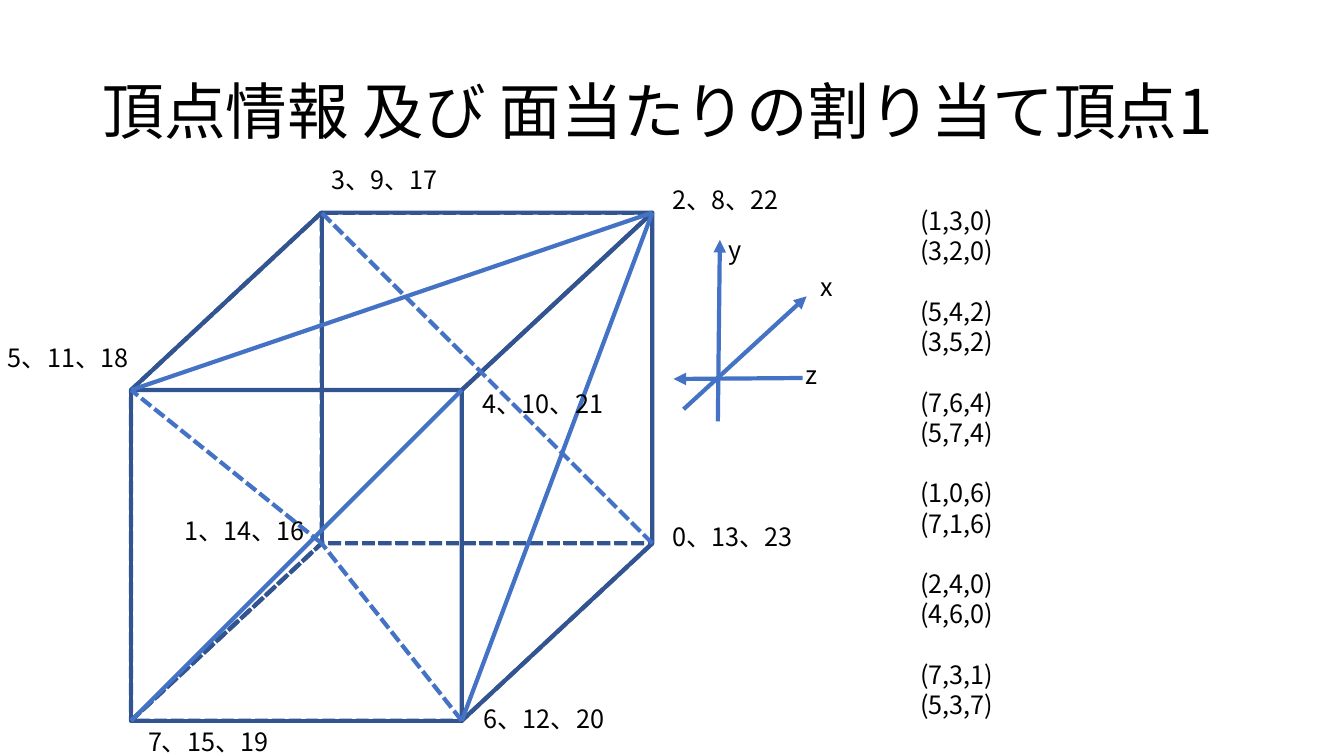
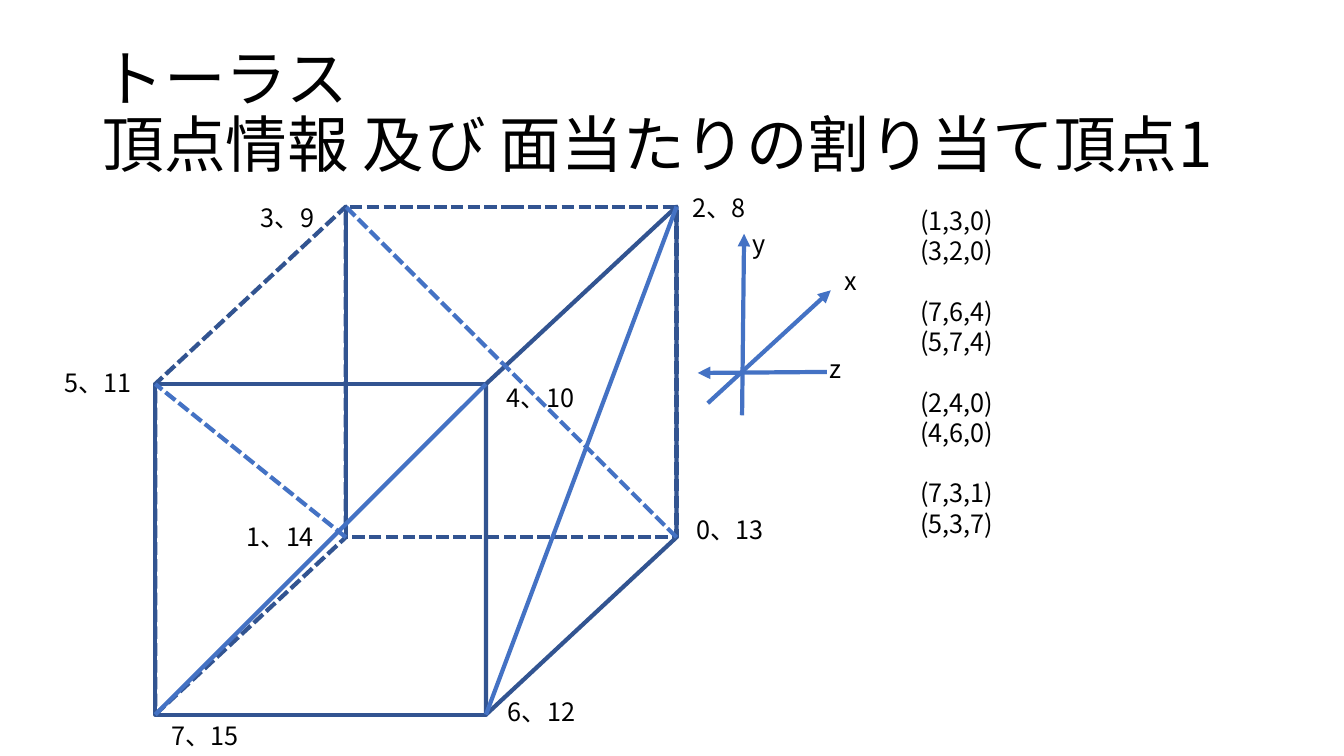
import pptx
import pptx.dml.color
import pptx.enum.dml
import pptx.enum.shapes
import pptx.enum.text
import pptx.oxml.ns
import pptx.util
import lxml.etree

THEME = {
    "font": "Noto Sans CJK JP",
    "text": pptx.dml.color.RGBColor.from_string("000000"),
    "edge": pptx.dml.color.RGBColor.from_string("325491"),
    "diagonal": pptx.dml.color.RGBColor.from_string("4472C4"),
    "stroke": pptx.util.Pt(3),
    "title": {"size": pptx.util.Pt(44), "pitch": pptx.util.Pt(47.5)},
    "body": {"size": pptx.util.Pt(18), "pitch": pptx.util.Pt(21.6)},
}
SOLID = pptx.enum.dml.MSO_LINE.SOLID
DASHED = pptx.enum.dml.MSO_LINE.SQUARE_DOT
CELL = pptx.util.Inches(0.1)  # one column or row of the drawing grid
PARALLELOGRAM = pptx.enum.shapes.MSO_SHAPE.PARALLELOGRAM
RECTANGLE = pptx.enum.shapes.MSO_SHAPE.RECTANGLE


def write(shapes, box, paragraphs, style, anchor=pptx.enum.text.MSO_ANCHOR.TOP, group_size=0):
    """Add a text box in grid cells, with one empty line's space between groups."""
    frame = shapes.add_textbox(*[round(length * CELL) for length in box]).text_frame
    frame.word_wrap = True
    frame.vertical_anchor = anchor
    frame.text = "\n".join(paragraphs)
    for index, paragraph in enumerate(frame.paragraphs):
        paragraph.line_spacing = style["pitch"]
        if group_size and index and index % group_size == 0:
            paragraph.space_before = style["pitch"]
        for run in paragraph.runs:
            run.font.color.rgb = THEME["text"]
            for name, value in {"size": style["size"], "name": THEME["font"]}.items():
                setattr(run.font, name, value)
            east_asian = lxml.etree.SubElement(
                run.font._element, pptx.oxml.ns.qn("a:ea"))
            east_asian.set("typeface", THEME["font"])


def connect(shapes, start, end, dash=SOLID, arrow=False):
    """Draw a diagonal or an axis between two grid points."""
    points = [round(length * CELL) for length in (*start, *end)]
    connector = shapes.add_connector(
        pptx.enum.shapes.MSO_CONNECTOR.STRAIGHT, *points)
    connector.line.color.rgb = THEME["diagonal"]
    for name, value in {"width": THEME["stroke"], "dash_style": dash}.items():
        setattr(connector.line, name, value)
    properties = connector._element.spPr
    if arrow:
        head = lxml.etree.SubElement(
            properties.find(pptx.oxml.ns.qn("a:ln")), pptx.oxml.ns.qn("a:tailEnd"))
        head.set("type", "triangle")
    lxml.etree.SubElement(properties, pptx.oxml.ns.qn("a:effectLst"))


presentation = pptx.Presentation()
presentation.slide_width = pptx.util.Inches(13.33)
presentation.slide_height = pptx.util.Inches(7.5)

# Cube measures in grid cells: side length, then the shift of the back face
SIDE, RUN, RISE = 32.8, 18.9, 17.6
HEADING = "頂点情報 及び 面当たりの割り当て頂点1"

SLIDES = [
    {
        "title": HEADING,
        "origin": (13, 21.1),
        "faces": ["top", "front", "right", "bottom", "back", "left"],
        "diagonals": [(6, 1, DASHED), (5, 2, SOLID), (7, 4, SOLID),
                      (6, 2, SOLID), (0, 3, DASHED), (1, 5, DASHED)],
        "labels": [((0, 13, 23), 65.7, 51.2), ((1, 14, 16), 17.3, 50.6),
                   ((2, 8, 22), 65.7, 17.8), ((3, 9, 17), 31.9, 15.8),
                   ((4, 10, 21), 46.9, 38), ((5, 11, 18), -0.2, 33.5),
                   ((6, 12, 20), 47, 69.3), ((7, 15, 19), 13.7, 71.6)],
        "triangles": ["(1,3,0)", "(3,2,0)", "(5,4,2)", "(3,5,2)",
                      "(7,6,4)", "(5,7,4)", "(1,0,6)", "(7,1,6)",
                      "(2,4,0)", "(4,6,0)", "(7,3,1)", "(5,3,7)"],
    },
    {
        "title": "トーラス\v" + HEADING,
        "origin": (15.4, 20.5),
        "faces": ["back", "left", "front", "right"],
        "diagonals": [(7, 4, SOLID), (6, 2, SOLID), (0, 3, DASHED), (1, 5, DASHED)],
        "labels": [((0, 13), 68.1, 50.5), ((1, 14), 23.5, 51.2),
                   ((2, 8), 67.7, 18.6), ((3, 9), 24.9, 19.6),
                   ((4, 10), 49.3, 37.4), ((5, 11), 5.4, 35.9),
                   ((6, 12), 49.4, 68.6), ((7, 15), 16, 71)],
        "triangles": ["(1,3,0)", "(3,2,0)", "(7,6,4)", "(5,7,4)",
                      "(2,4,0)", "(4,6,0)", "(7,3,1)", "(5,3,7)"],
    },
]

for content in SLIDES:
    slide = presentation.slides.add_slide(presentation.slide_layouts[6])
    write(slide.shapes, (9.2, 4, 115, 14.5), [content["title"]], THEME["title"],
          anchor=pptx.enum.text.MSO_ANCHOR.MIDDLE)
    drawing = slide.shapes.add_group_shape().shapes
    left, top = content["origin"]

    # Faces: preset, left, top, width, height, rotation, dash
    level = (SIDE + RUN, RISE)
    upright = (SIDE + RISE, RUN)
    upright_left = left + (RUN - upright[0]) / 2
    upright_top = top + (upright[0] - RUN) / 2
    faces = {
        "top": (PARALLELOGRAM, left, top, *level, 0, SOLID),
        "bottom": (PARALLELOGRAM, left, top + SIDE, *level, 180, DASHED),
        "front": (RECTANGLE, left, top + RISE, SIDE, SIDE, 0, SOLID),
        "back": (RECTANGLE, left + RUN, top, SIDE, SIDE, 180, DASHED),
        "right": (PARALLELOGRAM, upright_left + SIDE, upright_top, *upright, 90, SOLID),
        "left": (PARALLELOGRAM, upright_left, upright_top, *upright, 270, DASHED),
    }
    for face in content["faces"]:
        preset, *box, rotation, dash = faces[face]
        shape = drawing.add_shape(preset, *[round(length * CELL) for length in box])
        shape.shadow.inherit = False
        shape.fill.background()
        shape.rotation = rotation
        shape.line.color.rgb = THEME["edge"]
        for name, value in {"width": THEME["stroke"], "dash_style": dash}.items():
            setattr(shape.line, name, value)
        if preset == PARALLELOGRAM:
            shape.adjustments[0] = RUN / RISE if face in ("top", "bottom") else RISE / RUN
        if face in ("left", "right"):
            shape._element.spPr.xfrm.set("flipV", "1")

    # Vertices: number -> (back, right, low)
    corners = {0: (1, 1, 1), 1: (1, 0, 1), 2: (1, 1, 0), 3: (1, 0, 0),
               4: (0, 1, 0), 5: (0, 0, 0), 6: (0, 1, 1), 7: (0, 0, 1)}
    vertices = {
        number: (left + RUN * back + SIDE * right, top + RISE * (1 - back) + SIDE * low)
        for number, (back, right, low) in corners.items()
    }
    for start, end, dash in content["diagonals"]:
        connect(drawing, vertices[start], vertices[end], dash)
    for numbers, label_left, label_top in content["labels"]:
        write(drawing, (label_left, label_top, 19.7, 4),
              ["、".join(map(str, numbers))], THEME["body"])

    # Axes, measured from the cube's origin: start, end, label position
    axes = {
        "x": ((54.8, 19.5), (67, 8.3), (67.4, 5.3)),
        "y": ((58.2, 20.7), (58.4, 2.7), (58.3, 1.7)),
        "z": ((66.6, 16.4), (53.8, 16.5), (65.9, 14.1)),
    }
    for axis, points in axes.items():
        start, end, label = [(left + x, top + y) for x, y in points]
        connect(drawing, start, end, arrow=True)
        write(drawing, (*label, 3.4, 4), [axis], THEME["body"])

    lines = len(content["triangles"]) * 1.5 - 1
    write(slide.shapes, (90.3, 19.9, 11.3, 1 + 3 * lines),
          content["triangles"], THEME["body"], group_size=2)

presentation.save("out.pptx")
